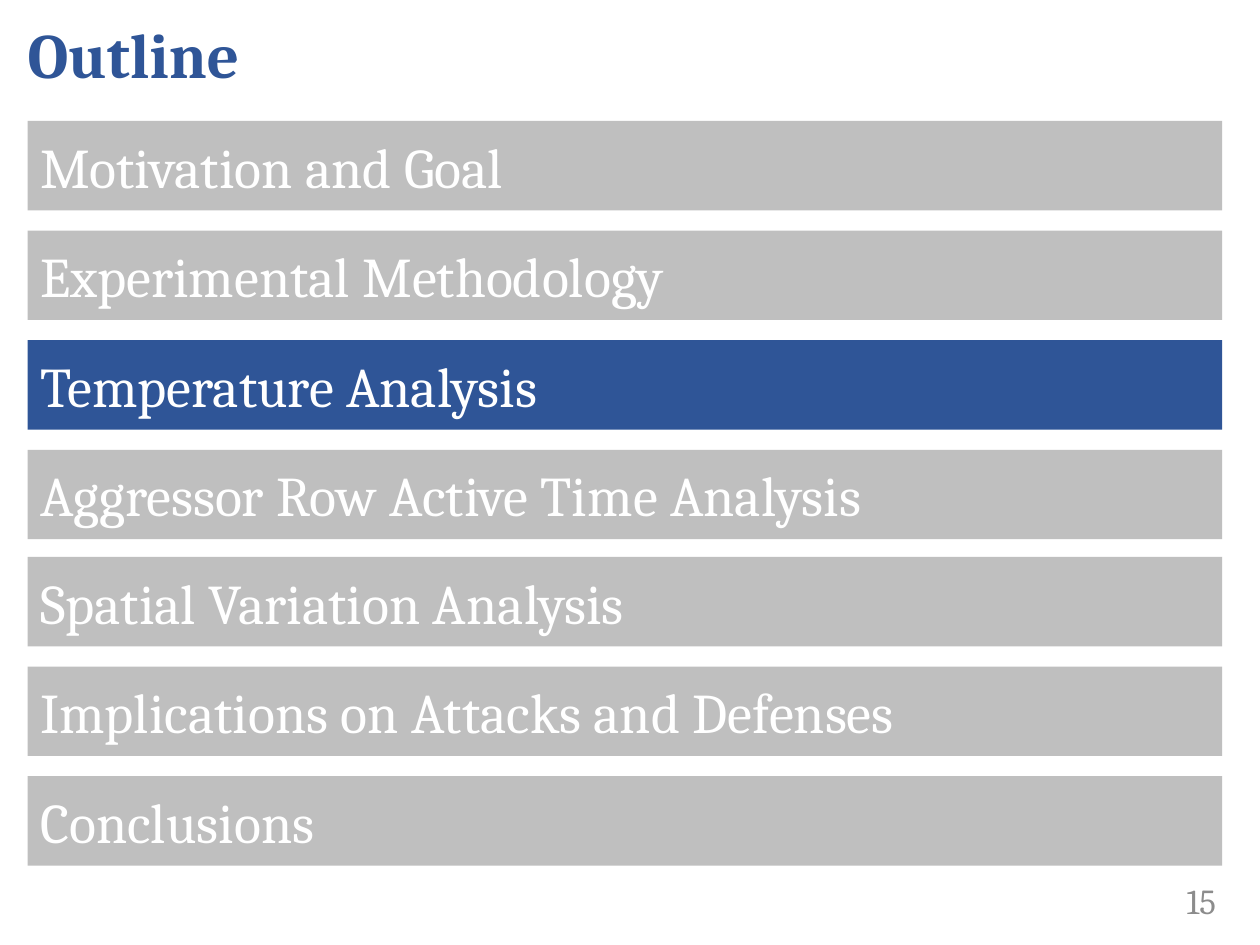
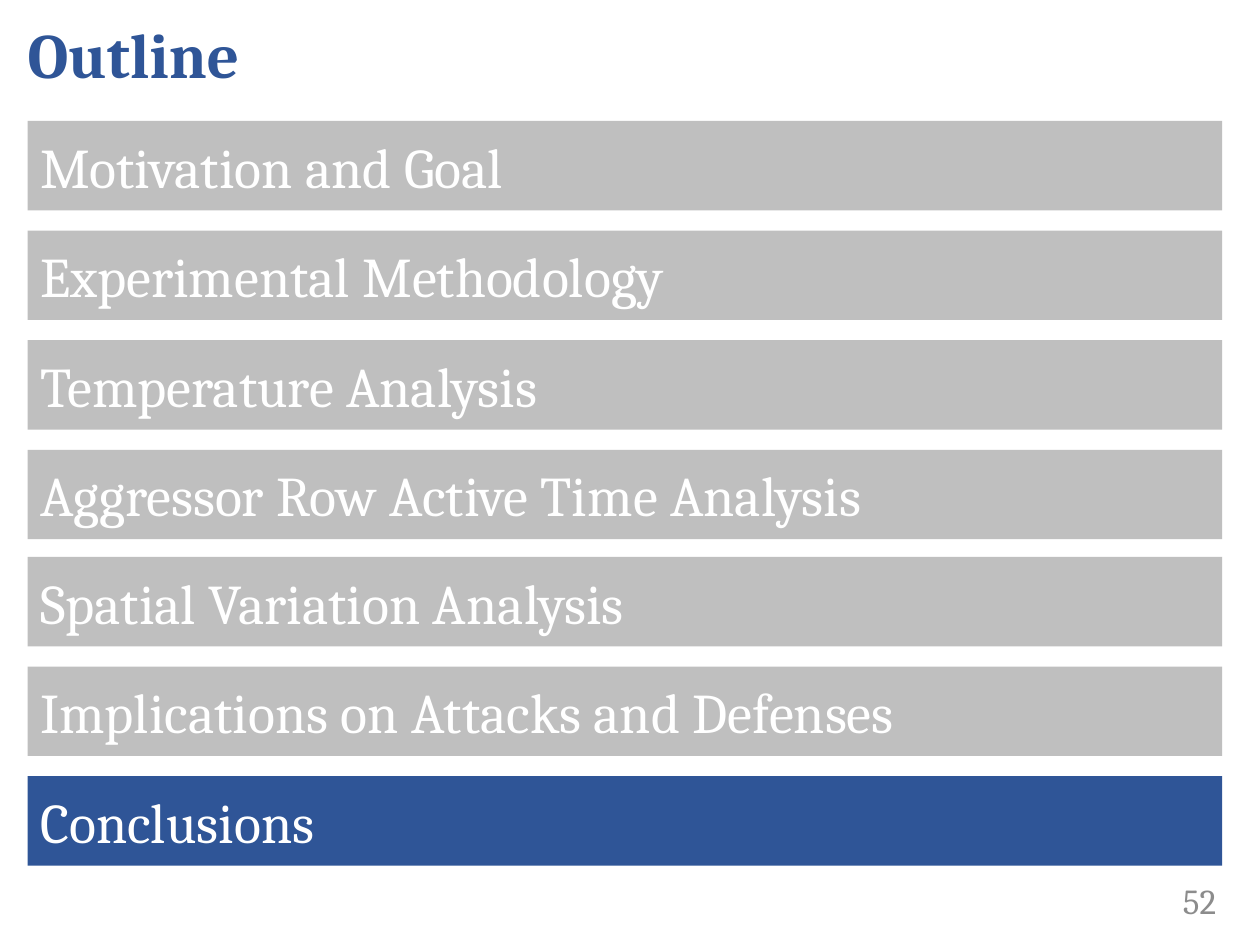
from pptx import Presentation
from pptx import util as u
from pptx.dml.color import RGBColor
from pptx.enum import shapes, text

# Shared style
BLUE = RGBColor(0x2F, 0x55, 0x97)
GREY = RGBColor(0xBF, 0xBF, 0xBF)
NUMBER_GREY = RGBColor(0x8C, 0x8C, 0x8C)
WHITE = RGBColor(0xFF, 0xFF, 0xFF)
TITLE_FONT = {"size": u.Pt(36), "bold": True}
BAR_FONT = {"size": u.Pt(32), "bold": False}
NUMBER_FONT = {"size": u.Pt(20), "bold": False}

# Bar grid in inches: an upper and a lower group with the same row pitch
BAR_LEFT, BAR_WIDTH, BAR_HEIGHT, PITCH = 0.22, 9.48, 0.71, 0.87
GROUPS = [
    (0.96, ["Motivation and Goal", "Experimental Methodology",
            "Temperature Analysis", "Aggressor Row Active Time Analysis"]),
    (4.42, ["Spatial Variation Analysis", "Implications on Attacks and Defenses",
            "Conclusions"]),
]

# Page number and highlighted section of each slide
PAGES = [("15", "Temperature Analysis"), ("52", "Conclusions")]


def write(shape, words, font, color, align=text.PP_ALIGN.LEFT):
    frame = shape.text_frame
    frame.word_wrap = True
    frame.auto_size = text.MSO_AUTO_SIZE.NONE
    frame.vertical_anchor = text.MSO_ANCHOR.MIDDLE
    para = frame.paragraphs[0]
    para.alignment = align
    span = para.add_run()
    span.text = words
    for name, value in {"name": "Cambria", **font}.items():
        setattr(span.font, name, value)
    span.font.color.rgb = color


deck = Presentation()
deck.slide_width, deck.slide_height = u.Inches(10), u.Inches(7.5)
title_only = deck.slide_layouts[5]

for number, current in PAGES:
    page = deck.slides.add_slide(title_only)

    # Title
    title = page.shapes.title
    place = {"left": 0.12, "top": 0, "width": 9.71, "height": 0.84}
    for side, length in place.items():
        setattr(title, side, u.Inches(length))
    write(title, "Outline", TITLE_FONT, BLUE)
    title.text_frame.paragraphs[0].space_after = u.Pt(6)

    # Section bars
    for top, sections in GROUPS:
        for row, section in enumerate(sections):
            bar = page.shapes.add_shape(
                shapes.MSO_SHAPE.RECTANGLE,
                u.Inches(BAR_LEFT), u.Inches(top + row * PITCH),
                u.Inches(BAR_WIDTH), u.Inches(BAR_HEIGHT))
            bar.shadow.inherit = False
            bar.fill.solid()
            bar.fill.fore_color.rgb = BLUE if section == current else GREY
            bar.line.fill.background()
            write(bar, section, BAR_FONT, WHITE)

    # Page number
    box = page.shapes.add_textbox(
        u.Inches(8.67), u.Inches(6.95), u.Inches(1.08), u.Inches(0.4))
    write(box, number, NUMBER_FONT, NUMBER_GREY, text.PP_ALIGN.RIGHT)

deck.save("out.pptx")
